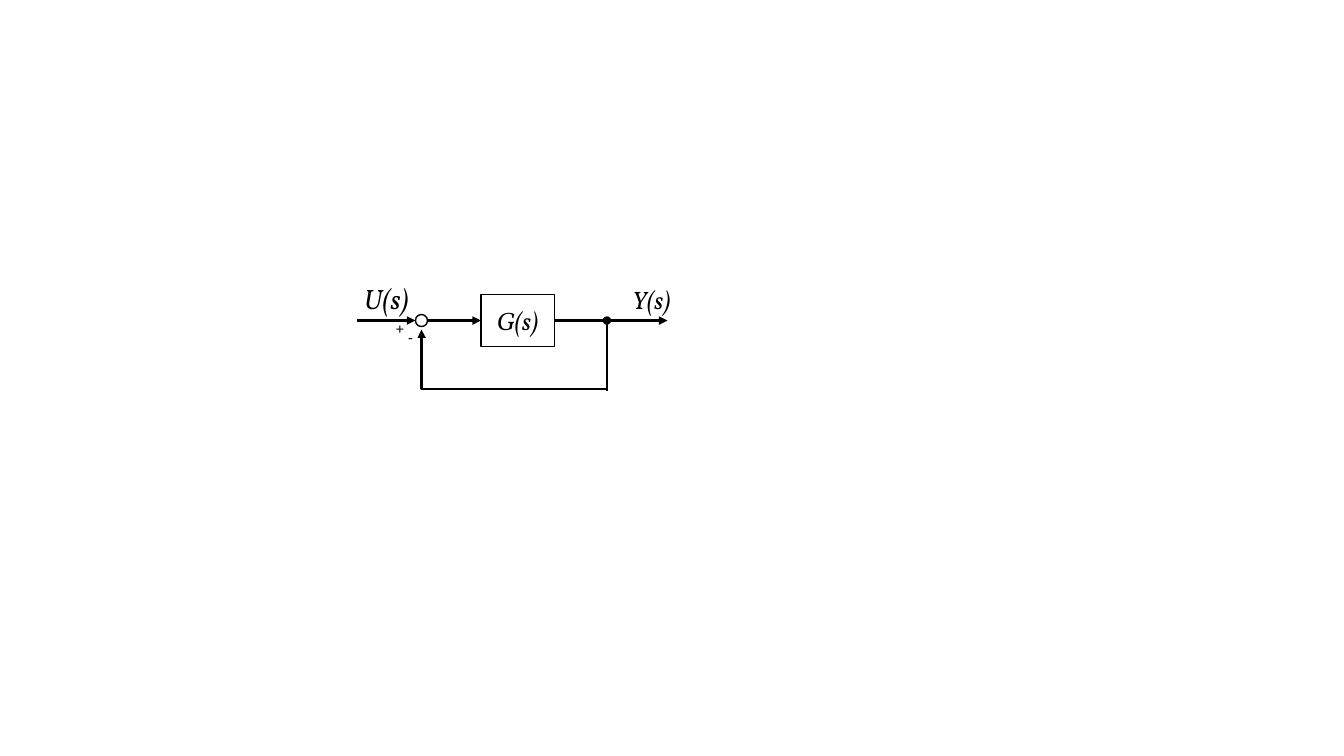
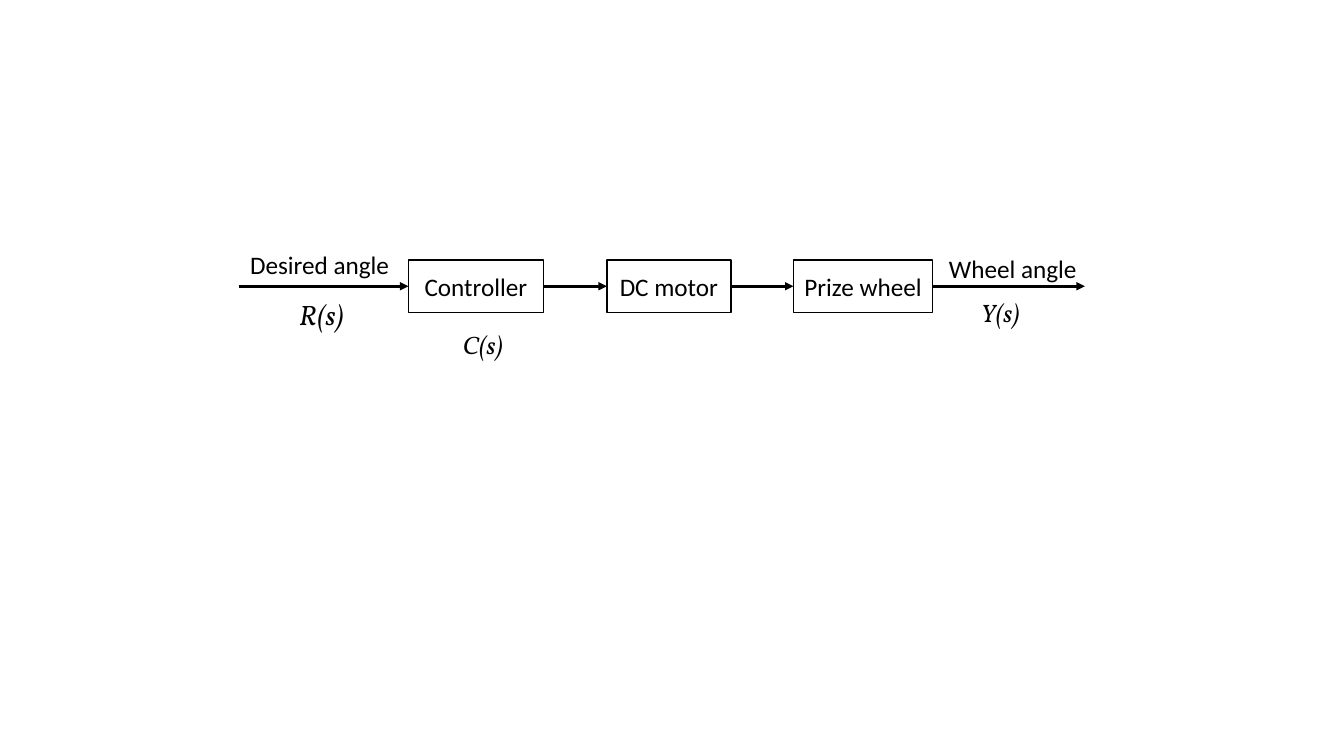
"""Draw two control-system block diagrams: a feedback loop and an open-loop chain."""
from dataclasses import dataclass
from typing import Optional

from lxml.etree import SubElement
from pptx import Presentation
from pptx.dml.color import RGBColor
from pptx.enum.shapes import MSO_CONNECTOR as Connector, MSO_SHAPE as Preset
from pptx.enum.text import MSO_ANCHOR as Anchor, MSO_AUTO_SIZE as AutoSize, PP_ALIGN as Align
from pptx.oxml.ns import qn
from pptx.util import Emu, Pt

EMU_PER_PX = 9144
COLORS = {"ink": "000000"}
WORDS, MATH = "Calibri", "Vollkorn"
BOX_HEIGHT = 52
LOOP_AXIS, CHAIN_AXIS = 318, 284
SUM_X, SUM_SIZE, BRANCH_X = 418, 12, 602
RIGHT_SIDE, LEFT_SIDE = 3, 1


@dataclass(frozen=True)
class Block:
    text: str
    left: int
    width: int
    font: str = WORDS


@dataclass(frozen=True)
class Label:
    text: str
    left: int
    top: int
    width: int
    height: int = 40
    size: int = 18
    font: str = WORDS
    align: Align = Align.CENTER
    wrap: bool = False


@dataclass(frozen=True)
class Line:
    begin: tuple[int, int]
    end: tuple[int, int]
    tip: Optional[str] = "triangle"
    source: Optional[str] = None
    target: Optional[str] = None


def px(value: float) -> Emu:
    return Emu(round(value * EMU_PER_PX))


def ink() -> RGBColor:
    return RGBColor.from_string(COLORS["ink"])


def add_text(shape, text: str, font: str, size: int, align: Align, wrap: bool = False) -> None:
    frame = shape.text_frame
    frame.word_wrap = wrap
    paragraph = frame.paragraphs[0]
    paragraph.alignment = align
    run = paragraph.add_run()
    run.text = text
    run.font.name = font
    run.font.size = Pt(size)
    run.font.italic = font == MATH
    run.font.color.rgb = ink()


def add_outline(slide, preset: Preset, left: float, top: float, width: int, height: int):
    shape = slide.shapes.add_shape(preset, px(left), px(top), px(width), px(height))
    shape.shadow.inherit = False
    shape.fill.background()
    shape.line.color.rgb = ink()
    shape.line.width = Pt(1)
    return shape


def add_block(slide, block: Block, axis: int):
    shape = add_outline(slide, Preset.RECTANGLE, block.left, axis - BOX_HEIGHT / 2,
                        block.width, BOX_HEIGHT)
    shape.text_frame.vertical_anchor = Anchor.MIDDLE
    add_text(shape, block.text, block.font, 18, Align.CENTER)
    return shape


def add_label(slide, label: Label) -> None:
    box = slide.shapes.add_textbox(px(label.left), px(label.top), px(label.width), px(label.height))
    add_text(box, label.text, label.font, label.size, label.align, label.wrap)
    box.text_frame.auto_size = AutoSize.SHAPE_TO_FIT_TEXT


def add_connector(slide, kind: Connector, begin: tuple[int, int], end: tuple[int, int],
                  tip: Optional[str], weight: float = 2):
    connector = slide.shapes.add_connector(kind, *map(px, begin + end))
    connector.line.color.rgb = ink()
    connector.line.width = Pt(weight)
    properties = connector._element.spPr
    if tip:
        SubElement(properties.find(qn("a:ln")), qn("a:tailEnd"), type=tip)
    SubElement(properties, qn("a:effectLst"))
    return connector


def add_feedback(slide) -> None:
    connector = add_connector(slide, Connector.ELBOW, (SUM_X, 327), (BRANCH_X, 386), "triangle", 1.75)
    properties = connector._element.spPr
    properties.find(qn("a:xfrm")).set("rot", "10800000")
    adjustments = properties.find(qn("a:prstGeom")).find(qn("a:avLst"))
    SubElement(adjustments, qn("a:gd"), name="adj1", fmla="val 99900")


def add_diagram(slide, axis: int, blocks: list[Block], lines: list[Line], labels: list[Label]) -> None:
    shapes = {block.text: add_block(slide, block, axis) for block in blocks}
    for line in lines:
        connector = add_connector(slide, Connector.STRAIGHT, line.begin, line.end, line.tip)
        if line.source:
            connector.begin_connect(shapes[line.source], RIGHT_SIDE)
        if line.target:
            connector.end_connect(shapes[line.target], LEFT_SIDE)
    for label in labels:
        add_label(slide, label)


def build_loop(slide) -> None:
    radius = SUM_SIZE // 2
    add_outline(slide, Preset.OVAL, SUM_X - radius, LOOP_AXIS - radius, SUM_SIZE, SUM_SIZE)
    add_feedback(slide)
    add_diagram(
        slide, LOOP_AXIS,
        [Block("G(s)", 477, 73, MATH)],
        [
            Line((354, LOOP_AXIS), (SUM_X - radius, LOOP_AXIS)),
            Line((SUM_X + radius, LOOP_AXIS), (477, LOOP_AXIS), target="G(s)"),
            Line((550, LOOP_AXIS), (BRANCH_X, LOOP_AXIS), "oval", source="G(s)"),
            Line((BRANCH_X, LOOP_AXIS), (BRANCH_X, 388), None),
            Line((BRANCH_X, LOOP_AXIS), (662, LOOP_AXIS)),
        ],
        [
            Label("U(s)", 347, 274, 73, 44, 20, MATH),
            Label("Y(s)", 617, 277, 78, font=MATH, align=Align.LEFT),
            Label("+", 383, 312, 27, 29, 11, align=Align.LEFT, wrap=True),
            Label("-", 395, 321, 27, 29, 11, align=Align.LEFT, wrap=True),
        ],
    )


def build_chain(slide) -> None:
    blocks = [Block("Controller", 405, 134), Block("DC motor", 602, 123), Block("Prize wheel", 787, 138)]
    first, last = blocks[0], blocks[-1]
    links = [
        Line((source.left + source.width, CHAIN_AXIS), (target.left, CHAIN_AXIS),
             source=source.text, target=target.text)
        for source, target in zip(blocks, blocks[1:])
    ]
    add_diagram(
        slide, CHAIN_AXIS, blocks,
        [
            Line((237, CHAIN_AXIS), (first.left, CHAIN_AXIS), target=first.text),
            *links,
            Line((last.left + last.width, CHAIN_AXIS), (1076, CHAIN_AXIS), source=last.text),
        ],
        [
            Label("Desired angle", 237, 242, 160),
            Label("R(s)", 284, 290, 70, 44, 20, MATH),
            Label("C(s)", 446, 322, 66, font=MATH),
            Label("Wheel angle", 930, 246, 149),
            Label("Y(s)", 963, 290, 78, font=MATH, align=Align.LEFT),
        ],
    )


def main() -> None:
    presentation = Presentation()
    presentation.slide_width, presentation.slide_height = px(1333), px(750)
    blank = presentation.slide_layouts[6]
    for build in (build_loop, build_chain):
        build(presentation.slides.add_slide(blank))
    presentation.save("out.pptx")


if __name__ == "__main__":
    main()
